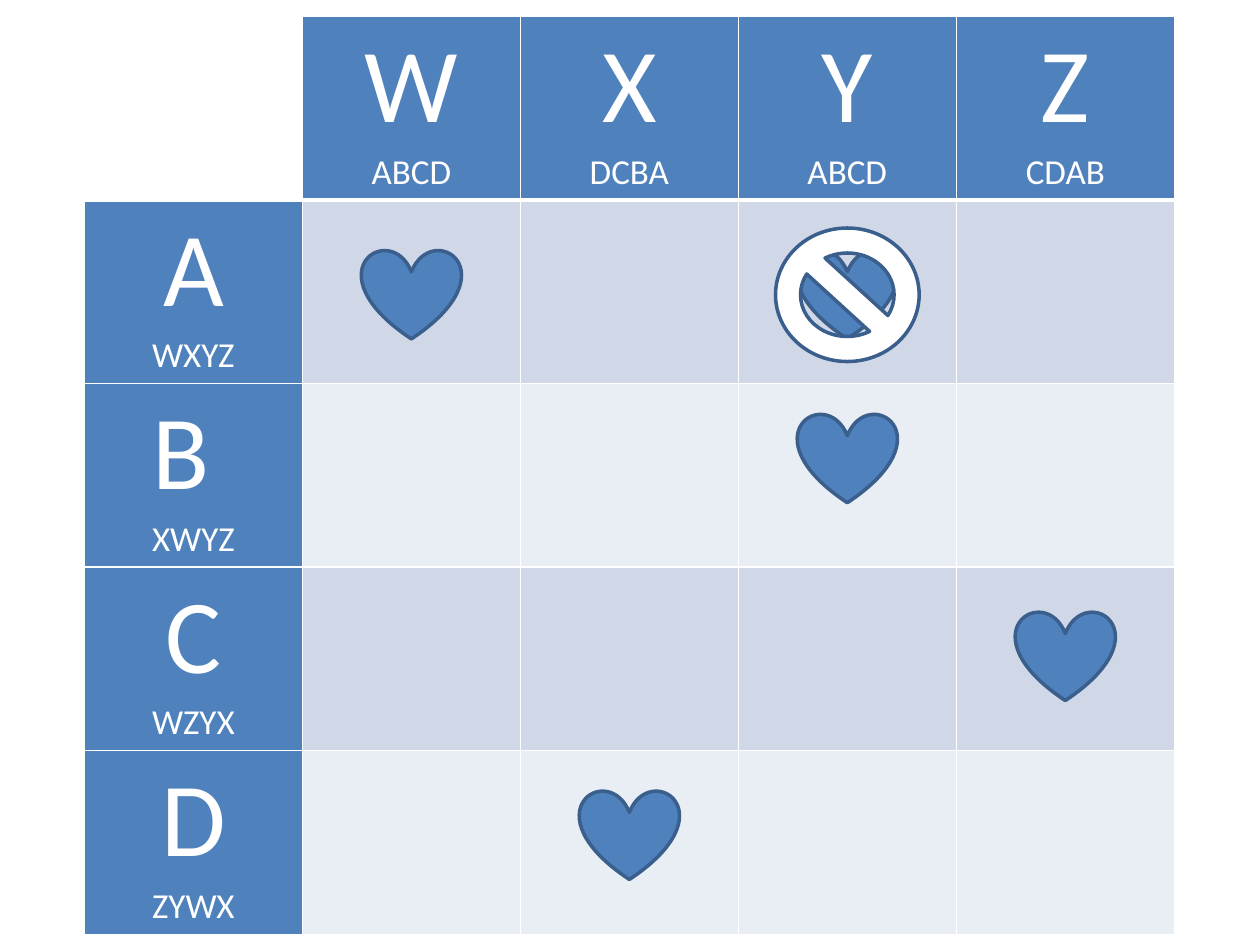
from dataclasses import dataclass

from lxml.etree import SubElement
from pptx import Presentation
from pptx.dml.color import RGBColor
from pptx.enum.shapes import MSO_SHAPE
from pptx.enum.text import PP_ALIGN
from pptx.oxml.ns import qn
from pptx.slide import Slide
from pptx.table import _Cell
from pptx.util import Inches, Pt

WHITE = "FFFFFF"
BLUE = "4F81BD"
OUTLINE = "3A5F8C"
BANDS = ("D0D8E8", "E9EDF4")
TABLE_LEFT, TABLE_TOP = 0.67, 0.13
COLUMN_WIDTH, ROW_HEIGHT = 1.73, 1.31
GRID_SIZE = 5


@dataclass(frozen=True)
class Participant:
    letter: str
    preferences: str


@dataclass(frozen=True)
class Marker:
    kind: MSO_SHAPE
    column: int
    top: float
    width: float
    height: float
    fill: str


def heart(column: int, top: float) -> Marker:
    return Marker(MSO_SHAPE.HEART, column, top, 0.79, 0.71, BLUE)


COLUMN_HEADS = (
    Participant("W", "ABCD"),
    Participant("X", "DCBA"),
    Participant("Y", "ABCD"),
    Participant("Z", "CDAB"),
)
ROW_HEADS = (
    Participant("A", "WXYZ"),
    Participant("B ", "XWYZ"),
    Participant("C", "WZYX"),
    Participant("D", "ZYWX"),
)
MARKERS = (
    heart(1, 1.98),
    heart(2, 6.27),
    heart(3, 1.98),
    heart(3, 3.28),
    heart(4, 4.85),
    Marker(MSO_SHAPE.NO_SYMBOL, 3, 1.81, 1.14, 1.06, WHITE),
)


def color(value: str) -> RGBColor:
    return RGBColor.from_string(value)


def style_cell(cell: _Cell, fill: str, top_width: float, bottom_width: float) -> None:
    properties = cell._tc.get_or_add_tcPr()
    widths = {"a:lnL": 1, "a:lnR": 1, "a:lnT": top_width, "a:lnB": bottom_width}
    for side, width in widths.items():
        border = SubElement(properties, qn(side), w=str(Pt(width)))
        border_fill = SubElement(border, qn("a:solidFill"))
        SubElement(border_fill, qn("a:srgbClr"), val=WHITE)
    cell.fill.solid()
    cell.fill.fore_color.rgb = color(fill)


def write_head(cell: _Cell, participant: Participant) -> None:
    frame = cell.text_frame
    lines = ((participant.letter, 60), (participant.preferences, 20))
    for index, (text, size) in enumerate(lines):
        paragraph = frame.add_paragraph() if index else frame.paragraphs[0]
        paragraph.alignment = PP_ALIGN.CENTER
        run = paragraph.add_run()
        run.text = text
        run.font.name = "Calibri"
        run.font.size = Pt(size)
        run.font.bold = False
        run.font.color.rgb = color(WHITE)


def add_preference_table(slide: Slide) -> None:
    table = slide.shapes.add_table(
        GRID_SIZE, GRID_SIZE, Inches(TABLE_LEFT), Inches(TABLE_TOP),
        Inches(COLUMN_WIDTH * GRID_SIZE), Inches(ROW_HEIGHT * GRID_SIZE),
    ).table
    table.first_col = True
    for column in table.columns:
        column.width = Inches(COLUMN_WIDTH)
    for row_index, row in enumerate(table.rows):
        row.height = Inches(ROW_HEIGHT)
        for column_index, cell in enumerate(row.cells):
            if row_index == column_index == 0:
                fill = WHITE
            elif row_index == 0 or column_index == 0:
                fill = BLUE
            else:
                fill = BANDS[(row_index - 1) % 2]
            style_cell(cell, fill, 3 if row_index == 1 else 1, 3 if row_index == 0 else 1)
    for index, participant in enumerate(COLUMN_HEADS, start=1):
        write_head(table.cell(0, index), participant)
    for index, participant in enumerate(ROW_HEADS, start=1):
        write_head(table.cell(index, 0), participant)


def add_marker(slide: Slide, marker: Marker) -> None:
    center = TABLE_LEFT + (marker.column + 0.5) * COLUMN_WIDTH
    symbol = slide.shapes.add_shape(
        marker.kind, Inches(center - marker.width / 2), Inches(marker.top),
        Inches(marker.width), Inches(marker.height),
    )
    symbol.shadow.inherit = False
    symbol.fill.solid()
    symbol.fill.fore_color.rgb = color(marker.fill)
    symbol.line.color.rgb = color(OUTLINE)
    symbol.line.width = Pt(2)


def main() -> None:
    presentation = Presentation()
    presentation.slide_width = Inches(10)
    presentation.slide_height = Inches(7.5)
    slide = presentation.slides.add_slide(presentation.slide_layouts[6])
    add_preference_table(slide)
    for marker in MARKERS:
        add_marker(slide, marker)
    presentation.save("out.pptx")


if __name__ == "__main__":
    main()
